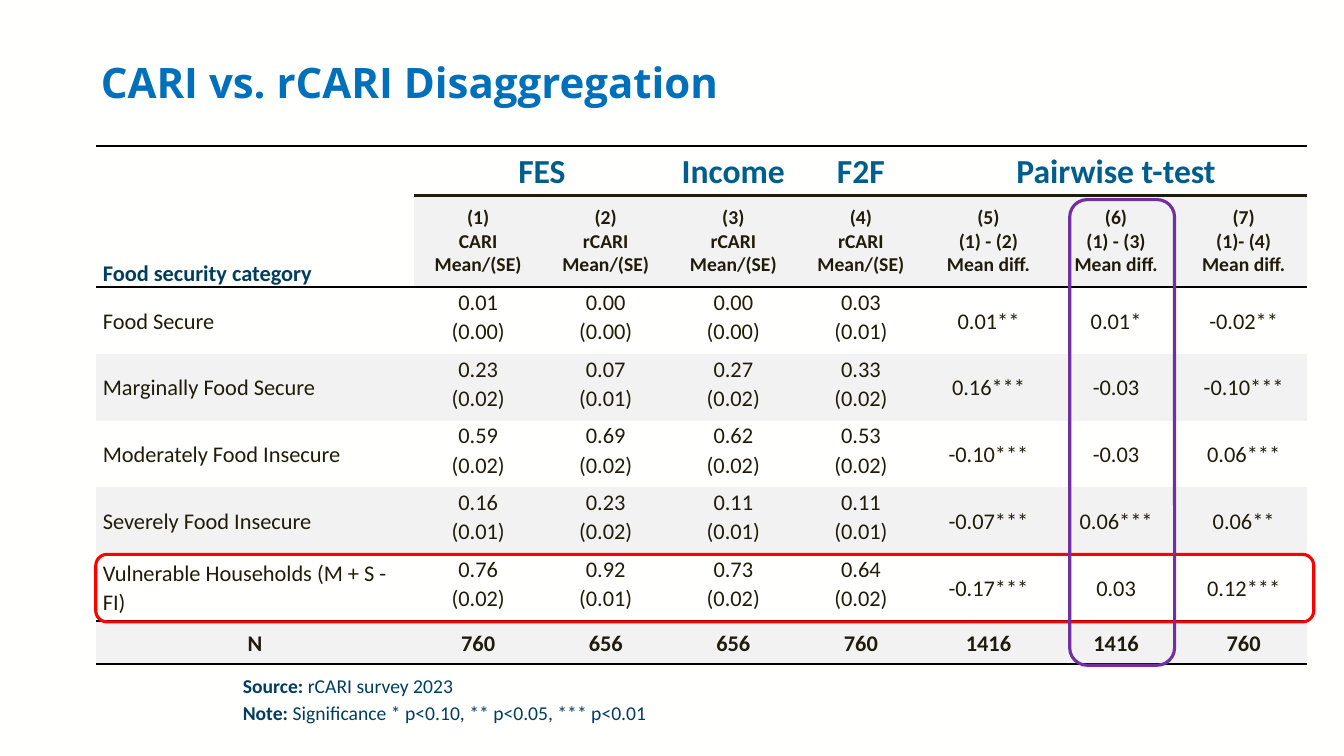
"""Build the CARI vs. rCARI disaggregation slide with its t-test table."""
from lxml import etree
from pptx import Presentation
from pptx.dml.color import RGBColor
from pptx.enum import shapes, text
from pptx.oxml import ns
from pptx.util import Inches, Pt

PAPER = RGBColor(0xFF, 0xFF, 0xFE)
TITLE_BLUE = RGBColor(0x00, 0x70, 0xBA)
GROUP_BLUE = RGBColor(0x00, 0x5E, 0x8D)
NAVY = RGBColor(0x00, 0x3E, 0x5E)
INK = RGBColor(0x21, 0x1B, 0x09)
BLACK = RGBColor(0x00, 0x00, 0x00)
BAND = RGBColor(0xF2, 0xF2, 0xF2)
RED = RGBColor(0xFF, 0x00, 0x00)
PURPLE = RGBColor(0x70, 0x30, 0xA0)
NO_STYLE = "{2D5ABB26-0587-4C30-8999-92F81FD0307C}"

ROWS = [
    ["Food security category", "FES", "", "Income", "F2F", "Pairwise t-test", "", ""],
    ["", "(1)\nCARI\nMean/(SE)", "(2)\nrCARI\nMean/(SE)", "(3)\nrCARI\nMean/(SE)",
     "(4)\nrCARI\nMean/(SE)", "(5)\n(1) - (2)\nMean diff.", "(6)\n(1) - (3)\nMean diff.",
     "(7)\n(1)- (4)\nMean diff."],
    ["Food Secure", "0.01\n(0.00)", "0.00\n(0.00)", "0.00\n(0.00)", "0.03\n(0.01)",
     "0.01**", "0.01*", "-0.02**"],
    ["Marginally Food Secure", "0.23\n(0.02)", "0.07\n(0.01)", "0.27\n(0.02)", "0.33\n(0.02)",
     "0.16***", "-0.03", "-0.10***"],
    ["Moderately Food Insecure", "0.59\n(0.02)", "0.69\n(0.02)", "0.62\n(0.02)", "0.53\n(0.02)",
     "-0.10***", "-0.03", "0.06***"],
    ["Severely Food Insecure", "0.16\n(0.01)", "0.23\n(0.02)", "0.11\n(0.01)", "0.11\n(0.01)",
     "-0.07***", "0.06***", "0.06**"],
    ["Vulnerable Households (M + S - FI)", "0.76\n(0.02)", "0.92\n(0.01)", "0.73\n(0.02)",
     "0.64\n(0.02)", "-0.17***", "0.03", "0.12***"],
    ["N", "760", "656", "656", "760", "1416", "1416", "760"],
]
HEIGHTS = [0.49, 0.91] + [3.31 / 5] * 5 + [0.43]
THIN, THICK = (BLACK, 1.5), (INK, 2.25)
TOP_RULES = {0: THIN, 1: THICK, 2: THIN, 7: THIN}
BOTTOM_RULES = {0: THICK, 1: THIN, 6: THIN, 7: THIN}


def add_border(cell, side, rule):
    properties = cell._tc.get_or_add_tcPr()
    line = etree.SubElement(properties, ns.qn(f"a:ln{side}"))
    if rule is None:
        etree.SubElement(line, ns.qn("a:noFill"))
        return
    color, points = rule
    line.set("w", str(Pt(points)))
    solid = etree.SubElement(line, ns.qn("a:solidFill"))
    etree.SubElement(solid, ns.qn("a:srgbClr"), val=str(color))


deck = Presentation()
deck.slide_width, deck.slide_height = Inches(13.33), Inches(7.5)
page = deck.slides.add_slide(deck.slide_layouts[5])
page.background.fill.solid()
page.background.fill.fore_color.rgb = PAPER

title = page.shapes.title
title.left, title.top, title.width, title.height = map(Inches, (0.9, 0.21, 11.53, 1.26))
title.text_frame.text = "CARI vs. rCARI Disaggregation"
title.text_frame.vertical_anchor = text.MSO_ANCHOR.MIDDLE
heading = title.text_frame.paragraphs[0]
heading.alignment = text.PP_ALIGN.LEFT
heading.line_spacing = 0.9
heading.font.name, heading.font.size, heading.font.bold = "Open Sans", Pt(30), True
heading.font.color.rgb = TITLE_BLUE

frame = page.shapes.add_table(len(ROWS), 8, Inches(0.95), Inches(1.45), Inches(12.02), Inches(5.14))
table = frame.table
table.first_row = table.horz_banding = False
frame._element.find(".//" + ns.qn("a:tableStyleId")).text = NO_STYLE
for index, column in enumerate(table.columns):
    column.width = Inches(8.86 / 7 if index else 3.16)
for row, height in zip(table.rows, HEIGHTS):
    row.height = Inches(height)
table.cell(0, 0).merge(table.cell(1, 0))
table.cell(0, 1).merge(table.cell(0, 2))
table.cell(0, 5).merge(table.cell(0, 7))

for r, values in enumerate(ROWS):
    for c, value in enumerate(values):
        cell = table.cell(r, c)
        corner = r < 2 and c == 0
        estimate = 2 <= r <= 6 and 1 <= c <= 4
        add_border(cell, "L", None)
        add_border(cell, "R", None)
        add_border(cell, "T", None if corner and r == 1 else TOP_RULES.get(r))
        add_border(cell, "B", THIN if corner else BOTTOM_RULES.get(r))
        if r % 2 and not corner:
            cell.fill.solid()
            cell.fill.fore_color.rgb = BAND
        else:
            cell.fill.background()
        cell.margin_left = cell.margin_right = Inches(0.07)
        cell.margin_top = cell.margin_bottom = 0
        if corner:
            cell.vertical_anchor = text.MSO_ANCHOR.BOTTOM
        elif estimate:
            cell.vertical_anchor = text.MSO_ANCHOR.TOP
        else:
            cell.vertical_anchor = text.MSO_ANCHOR.MIDDLE
        if not value:
            continue
        cell.text_frame.text = value
        for para in cell.text_frame.paragraphs:
            para.alignment = text.PP_ALIGN.CENTER if c or r == 7 else text.PP_ALIGN.LEFT
            para.line_spacing = 1.0 if r == 1 else 1.07
            if r in (0, 7) or c == 0:
                para.space_after = Pt(8)
            para.font.name = "Calibri"
            para.font.size = Pt(24 if r == 0 and c else 14 if r == 1 else 16)
            para.font.bold = r in (0, 1, 7)
            para.font.color.rgb = NAVY if corner else GROUP_BLUE if r == 0 else INK

vulnerable_row = (0.95, 5.5, 12.08, 0.67)
income_difference = (10.61, 1.98, 1.04, 4.62)
for bounds, color in ((vulnerable_row, RED), (income_difference, PURPLE)):
    highlight = page.shapes.add_shape(shapes.MSO_SHAPE.ROUNDED_RECTANGLE, *map(Inches, bounds))
    highlight.shadow.inherit = False
    highlight.fill.background()
    highlight.line.color.rgb = color
    highlight.line.width = Pt(2.25)

box = page.shapes.add_textbox(Inches(2.31), Inches(6.6), Inches(6.67), Inches(0.63))
box.text_frame.word_wrap = True
notes = [("Source:", " rCARI survey 2023"), ("Note:", " Significance * p<0.10, ** p<0.05, *** p<0.01")]
for index, (label, detail) in enumerate(notes):
    para = box.text_frame.add_paragraph() if index else box.text_frame.paragraphs[0]
    para.alignment = text.PP_ALIGN.JUSTIFY
    para.line_spacing = 1.15
    para.font.name, para.font.size = "Calibri", Pt(14)
    para.font.color.rgb = NAVY
    for content, bold in ((label, True), (detail, False)):
        span = para.add_run()
        span.text = content
        span.font.bold = bold

deck.save("out.pptx")
